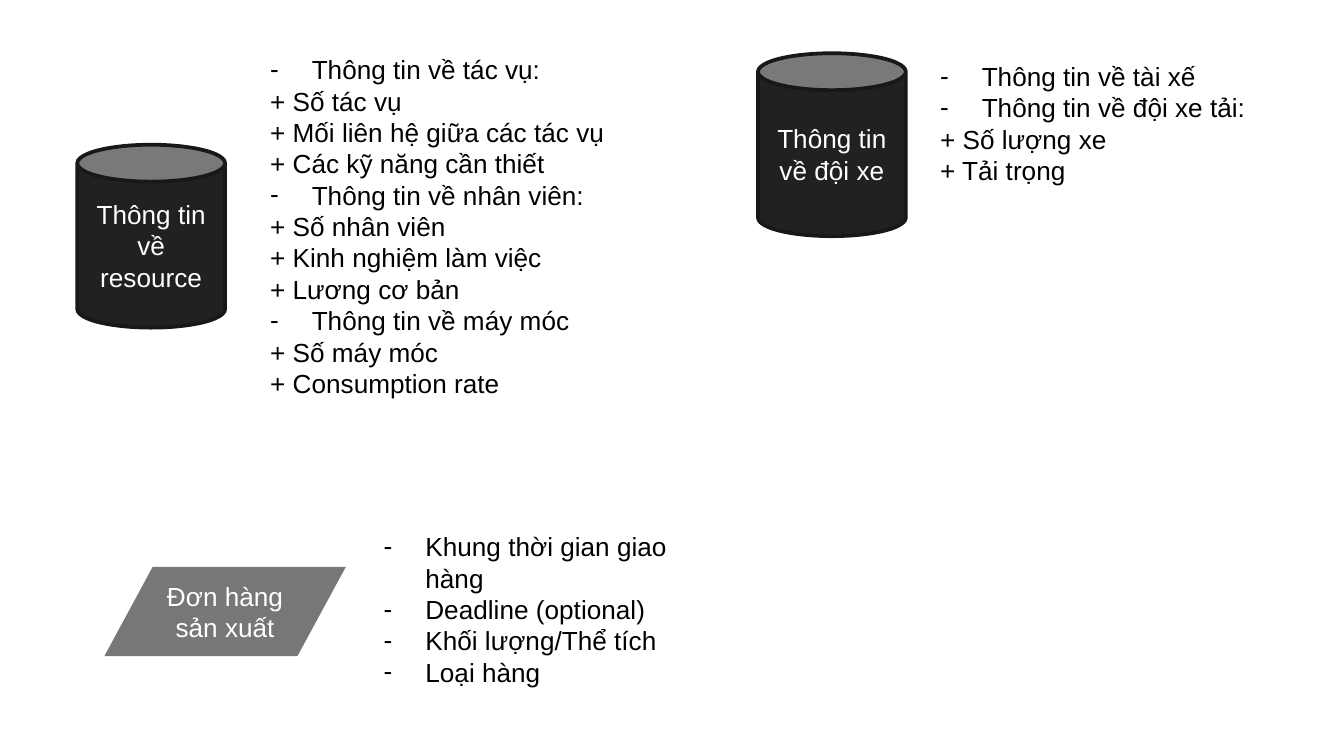
from pptx import Presentation
from pptx.dml.color import RGBColor
from pptx.enum.shapes import MSO_SHAPE as Shape
from pptx.enum.text import MSO_ANCHOR as Anchor, MSO_AUTO_SIZE as AutoSize, PP_ALIGN as Align
from pptx.oxml.xmlchemy import OxmlElement
from pptx.util import Inches, Pt

WIDTH = Inches(10)
HEIGHT = WIDTH * 9 // 16
INDENT = Inches(0.31)
COMPARISON_LAYOUT = 4

RESOURCE_INFO = [
    "- Thông tin về tác vụ:",
    "+ Số tác vụ",
    "+ Mối liên hệ giữa các tác vụ",
    "+ Các kỹ năng cần thiết",
    "- Thông tin về nhân viên:",
    "+ Số nhân viên",
    "+ Kinh nghiệm làm việc",
    "+ Lương cơ bản",
    "- Thông tin về máy móc",
    "+ Số máy móc",
    "+ Consumption rate",
]
FLEET_INFO = [
    "- Thông tin về tài xế",
    "- Thông tin về đội xe tải: ",
    "+ Số lượng xe",
    "+ Tải trọng",
]
ORDER_INFO = [
    "- Khung thời gian giao hàng",
    "- Deadline (optional)",
    "- Khối lượng/Thể tích",
    "- Loại hàng",
]


def color(value):
    return RGBColor.from_string(value)


def share(left, top, width, height):
    return [round(size * percent / 100) for size, percent in
            zip((WIDTH, HEIGHT, WIDTH, HEIGHT), (left, top, width, height))]


def style_text(paragraph, text_color):
    font = paragraph.font
    font.name, font.size, font.bold = "Arial", Pt(14), False
    font.color.rgb = color(text_color)


def add_node(slide, outline, area, label, fill, border, border_width):
    node = slide.shapes.add_shape(outline, *share(*area))
    node.shadow.inherit = False
    node.fill.solid()
    node.fill.fore_color.rgb = color(fill)
    node.line.color.rgb = color(border)
    node.line.width = Pt(border_width)
    frame = node.text_frame
    frame.text = label
    frame.word_wrap = True
    frame.vertical_anchor = Anchor.MIDDLE
    frame.paragraphs[0].alignment = Align.CENTER
    style_text(frame.paragraphs[0], "FFFFFF")


def set_bullet(paragraph, dashed):
    properties = paragraph._p.get_or_add_pPr()
    properties.set("marL", str(INDENT if dashed else 0))
    properties.set("indent", str(-INDENT if dashed else 0))
    if dashed:
        typeface = OxmlElement("a:buFont")
        typeface.set("typeface", "Arial")
        bullet = OxmlElement("a:buChar")
        bullet.set("char", "-")
        properties.extend([typeface, bullet])
    else:
        properties.append(OxmlElement("a:buNone"))


def fill_list(body, area, items):
    body.left, body.top, body.width, body.height = share(*area)
    frame = body.text_frame
    frame.word_wrap = True
    frame.auto_size = AutoSize.SHAPE_TO_FIT_TEXT
    frame.vertical_anchor = Anchor.TOP
    frame.text = "\n".join(item.removeprefix("- ") for item in items)
    for paragraph, item in zip(frame.paragraphs, items):
        paragraph.space_before = Pt(0)
        paragraph.alignment = Align.LEFT
        set_bullet(paragraph, item.startswith("- "))
        style_text(paragraph, "000000")


def main():
    deck = Presentation()
    deck.slide_width, deck.slide_height = WIDTH, HEIGHT
    slide = deck.slides.add_slide(deck.slide_layouts[COMPARISON_LAYOUT])
    title, resource_list, fleet_list, order_list, spare = slide.placeholders
    for unused in (title, spare):
        unused.element.getparent().remove(unused.element)

    fill_list(resource_list, (19.1, 6.2, 27.4, 56.2), RESOURCE_INFO)
    fill_list(fleet_list, (68.95, 7.1, 25.3, 22.8), FLEET_INFO)
    fill_list(order_list, (27.55, 69.3, 25.3, 31.1), ORDER_INFO)

    database = ("212121", "181818", 2)
    add_node(slide, Shape.CAN, (5.75, 19.15, 11, 24.2), "Thông tin về resource", *database)
    add_node(slide, Shape.CAN, (56.4, 7.05, 11, 24.2), "Thông tin về đội xe", *database)
    add_node(slide, Shape.FLOWCHART_DATA, (7.8, 75, 17.9, 11.75),
             "Đơn hàng sản xuất", "777777", "777777", 0.25)
    deck.save("out.pptx")


main()
